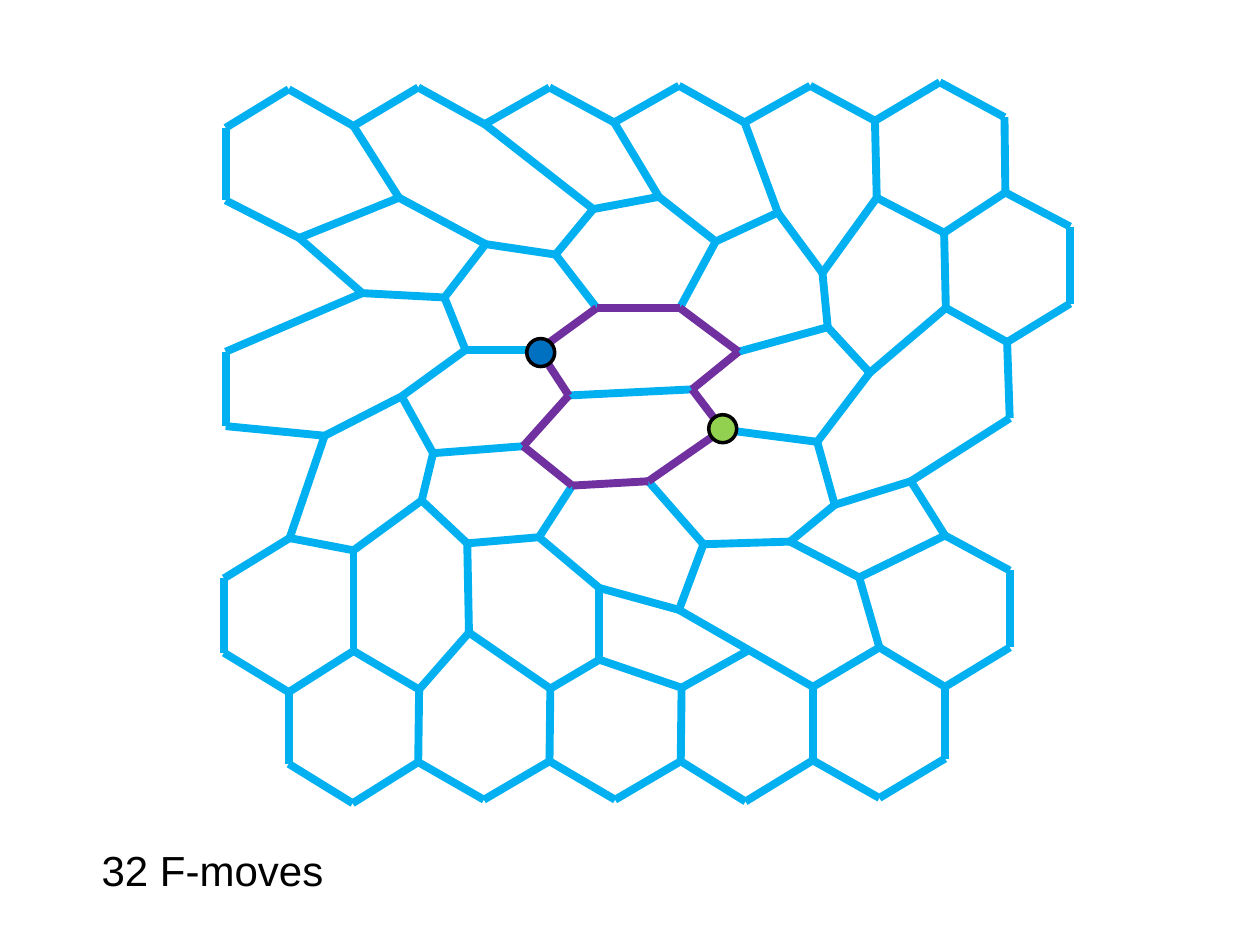
from itertools import pairwise

from pptx import Presentation
from pptx.dml.color import RGBColor as RGB
from pptx.enum.shapes import MSO_CONNECTOR as CONN, MSO_SHAPE as SHAPE
from pptx.enum.text import MSO_AUTO_SIZE as AUTO
from pptx.oxml.ns import qn
from pptx.util import Pt

COLORS = {"edge": "00B0F0", "loop": "7030A0", "blue": "0070C0",
          "green": "92D050", "black": "000000"}

# Lattice vertices in points, by row from top to bottom, left to right
ROWS = {
    "a": [(129, 73), (165, 51), (202, 72), (239, 50), (277, 71), (314, 50),
          (351, 70), (388, 49), (425.5, 70), (463, 49), (500, 69), (537, 47),
          (574, 67)],
    "b": [(129, 114.5), (171, 136), (228, 113), (277.5, 139.5), (317.5, 145.5),
          (339, 119.5), (376.5, 112.5), (409, 138), (444.5, 121.5), (470, 156),
          (501, 113), (539.5, 133), (574.5, 110), (611.5, 129.5)],
    "c": [(129, 201), (207, 167.5), (254, 170), (266, 200), (308, 200),
          (341, 176), (388.5, 176), (422, 201), (473, 187), (497, 213),
          (540.5, 176), (575.5, 195.5), (611.5, 173.5)],
    "d": [(129, 243.5), (185.5, 249), (229.5, 226.5), (247.5, 259), (299, 255),
          (325, 226), (395.5, 222.5), (413, 245.5), (467, 252.5), (577, 239)],
    "e": [(165.5, 307.5), (202, 314.5), (241, 286), (267, 310.5), (308, 307),
          (327, 277.5), (370.5, 275), (402, 311), (451.5, 309.5), (477, 288.5),
          (520.5, 275), (540, 306)],
    "f": [(128, 330.5), (342.5, 336), (388, 348.5), (491, 330), (577, 326)],
    "g": [(128, 373), (165, 395.5), (202, 372), (239.5, 394), (268, 361.5),
          (314.5, 393.5), (342.5, 377), (389.5, 393), (428, 371.5),
          (464.5, 392.5), (502.5, 370), (540, 392.5), (577, 370)],
    "h": [(165, 436.5), (201.5, 459), (239, 435.5), (276.5, 457), (314, 435),
          (351.5, 457), (389, 435), (426, 458), (464.5, 434.5), (502.5, 456),
          (540, 433.5)],
}
VERTICES = {f"{row}{i}": pt for row, pts in ROWS.items() for i, pt in enumerate(pts)}

# Edges as walks from vertex to vertex
BOUNDARY = ("a0 a1 a2 a3 a4 a5 a6 a7 a8 a9 a10 a11 a12 b12 b13 c12 c11 d9 e10 e11 "
            "f4 g12 g11 h10 h9 h8 h7 h6 h5 h4 h3 h2 h1 h0 g1 g0 f0 e0 d1 d0 c0 "
            "c1 b1 b0 a0")
INNER_WALKS = [
    "b1 b2 a2", "b2 b3 b4 b5 a4", "b3 c2 c1", "c2 c3 c4", "c3 d2 d1",
    "d2 d3 d4", "d3 e2 e1", "e0 e1 g2 g1", "b4 c5", "b5 b6 a6", "b6 b7 b8 a8",
    "b7 c6", "b8 b9 b10 a10", "b10 b11 b12", "b9 c8 c7", "c8 c9 c10",
    "b11 c10 c11", "c9 d8 d7", "d8 e9 e10", "e9 e8 e7", "e8 f3 e11", "f3 g10",
    "e6 e7 f2", "e5 e4 e3", "e4 f1", "e2 e3 g4", "f1 f2 g8", "f1 g6",
    "g2 g3 g4 g5 g6 g7 g8 g9 g10 g11", "g3 h2", "g5 h4", "g7 h6", "g9 h8",
    "d5 d6",
]
LOOP = "c4 c5 c6 c7 d6 d7 e6 e5 d4 d5 c4"


class Sketch:
    edge_width = Pt(4.5)
    dot_size = 16
    font = {"name": "Arial", "size": Pt(24)}

    def __init__(self, slide):
        self.s = slide
        self.lattice = slide.shapes.add_group_shape()

    def walk(self, names, color):
        points = [VERTICES[name] for name in names.split()]
        for start, end in pairwise(points):
            ln = self.lattice.shapes.add_connector(
                CONN.STRAIGHT, *(Pt(v) for v in (*start, *end)))
            ln.line.color.rgb = RGB.from_string(COLORS[color])
            ln.line.width = self.edge_width
            sp_pr = ln._element.spPr
            sp_pr.append(sp_pr.makeelement(qn("a:effectLst"), {}))

    def dot(self, x, y, color):
        size = Pt(self.dot_size)
        sp = self.lattice.shapes.add_shape(
            SHAPE.OVAL, Pt(x) - size // 2, Pt(y) - size // 2, size, size)
        sp.shadow.inherit = False
        sp.fill.solid()
        sp.fill.fore_color.rgb = RGB.from_string(COLORS[color])
        sp.line.color.rgb = RGB.from_string(COLORS["black"])
        sp.line.width = Pt(2)

    def caption(self, x, y, w, h, text):
        tf = self.s.shapes.add_textbox(Pt(x), Pt(y), Pt(w), Pt(h)).text_frame
        tf.word_wrap = False
        tf.auto_size = AUTO.SHAPE_TO_FIT_TEXT
        r = tf.paragraphs[0].add_run()
        r.text = text
        for key, value in self.font.items():
            setattr(r.font, key, value)
        r.font.color.rgb = RGB.from_string(COLORS["black"])


def main():
    prs = Presentation()
    prs.slide_width, prs.slide_height = Pt(720), Pt(540)
    sketch = Sketch(prs.slides.add_slide(prs.slide_layouts[6]))

    # Lattice, with the highlighted loop on top
    for names in [BOUNDARY, *INNER_WALKS]:
        sketch.walk(names, "edge")
    sketch.walk(LOOP, "loop")

    # End points on the loop
    sketch.dot(413, 245, "green")
    sketch.dot(309, 201.5, "blue")

    sketch.caption(51, 479, 143, 37, "32 F-moves")
    prs.save("out.pptx")


if __name__ == "__main__":
    main()
